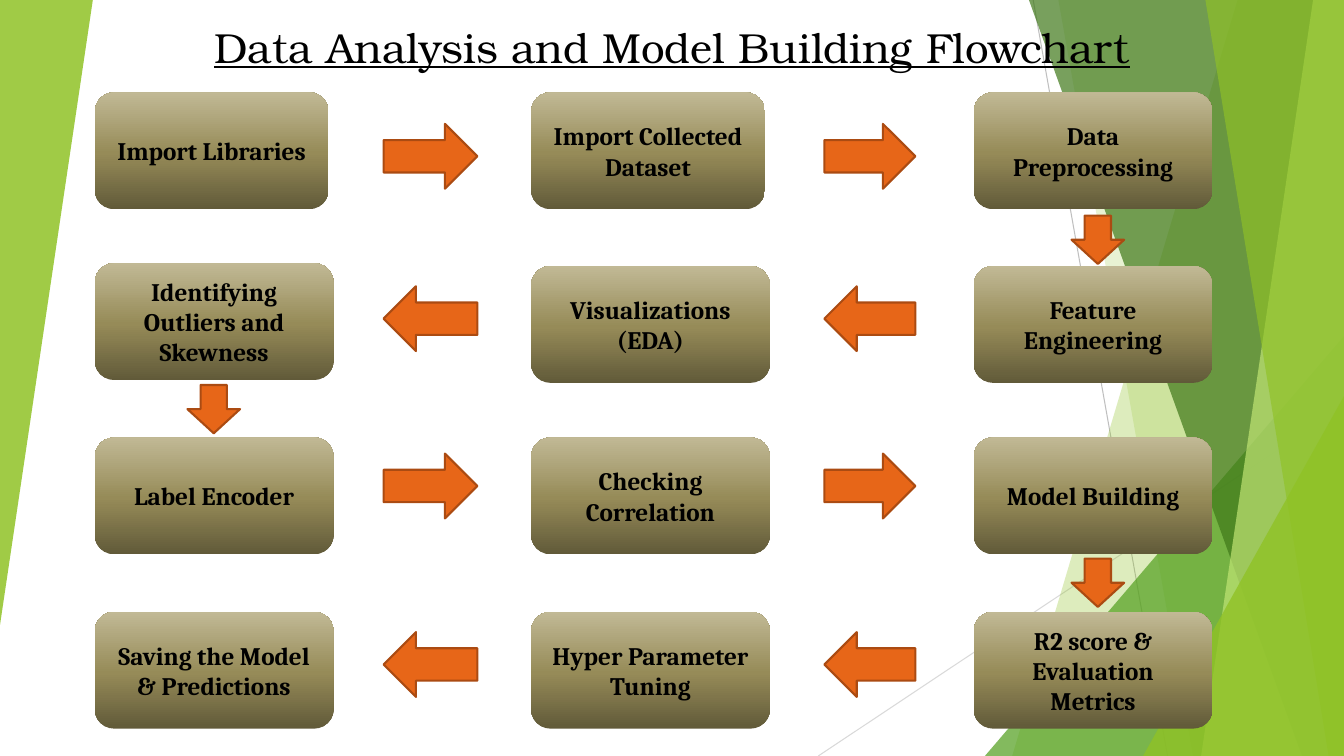
import copy

import pptx
import pptx.dml.color
import pptx.enum.shapes
import pptx.enum.text
import pptx.oxml.ns
import pptx.oxml.xmlchemy
import pptx.util

Pt = pptx.util.Pt
RGBColor = pptx.dml.color.RGBColor
Shape = pptx.enum.shapes.MSO_SHAPE
Align = pptx.enum.text.PP_ALIGN
qn = pptx.oxml.ns.qn
OxmlElement = pptx.oxml.xmlchemy.OxmlElement

BLACK = RGBColor(0x00, 0x00, 0x00)
ORANGE = RGBColor(0xE7, 0x66, 0x18)
RUST = RGBColor(0xAB, 0x4B, 0x12)
LIME = RGBColor(0x90, 0xC2, 0x26)
PALE_LIME = RGBColor(0xC0, 0xE4, 0x74)
GREEN = RGBColor(0x54, 0xA0, 0x21)
DARK_GREEN = RGBColor(0x3F, 0x78, 0x19)
GREY = RGBColor(0xBF, 0xBF, 0xBF)
LIGHT_GREY = RGBColor(0xD9, 0xD9, 0xD9)
KHAKI_STOPS = [(0, RGBColor(0x61, 0x5A, 0x39)),
               (0.48, RGBColor(0x96, 0x8B, 0x58)),
               (1, RGBColor(0xC1, 0xB9, 0x95))]

WIDTH, HEIGHT = 960, 540
TITLE = "Data Analysis and Model Building Flowchart"

# Each row: top of boxes, top of side arrows, arrow direction, steps left to right
ROWS = [
    (66, 88.5, Shape.RIGHT_ARROW,
     ["Import Libraries", "Import Collected Dataset", "Data Preprocessing"]),
    (190, 204.5, Shape.LEFT_ARROW,
     ["Identifying Outliers and Skewness", "Visualizations\n(EDA)", "Feature Engineering"]),
    (312.5, 324, Shape.RIGHT_ARROW,
     ["Label Encoder", "Checking Correlation", "Model Building"]),
    (437, 451.5, Shape.LEFT_ARROW,
     ["Saving the Model & Predictions", "Hyper Parameter Tuning", "R2 score & Evaluation Metrics"]),
]
COLUMNS = [67.7, 379.4, 695.5]
BOX_WIDTH, BOX_HEIGHT = 170.6, 83.5
NARROW_WIDTH = 167
NARROW_STEPS = {"Import Libraries", "Import Collected Dataset"}
RAISED_STEPS = {"Identifying Outliers and Skewness": 2}
SIDE_ARROWS = [(274, 67), (588.8, 65)]  # left, width
SIDE_ARROW_HEIGHT = 46.3
DOWN_ARROWS = [(765.4, 154), (133.9, 275), (765.4, 399)]  # left, top
DOWN_ARROW_SIZE = (37.6, 34.5)

RAYS = [((738, 0), (834, HEIGHT), GREY), ((WIDTH, 290), (584.5, HEIGHT), LIGHT_GREY)]
# Bands run to the right edge: top-left x, bottom-left x, colour, opacity
# Corners have the right angle at the right: left, top, width, height, turn
FACETS = [
    ("band", (884, 723), LIME, 30),
    ("band", (756, 852), LIME, 20),
    ("corner", (703.5, 240, 256.5, 300, 0), GREEN, 72),
    ("band", (735, 929.5), DARK_GREEN, 70),
    ("band", (938, 858), PALE_LIME, 70),
    ("band", (861, 949), LIME, 65),
    ("corner", (816.5, 283, 143.5, 257, 0), LIME, 80),
    ("corner", (0, 0, 66.3, 446.4, 180), LIME, 85),
]


def add_ray(page, start, end, colour):
    ray = page.shapes.add_connector(pptx.enum.shapes.MSO_CONNECTOR.STRAIGHT,
                                    *map(Pt, start + end))
    ray.line.color.rgb = colour
    ray.line.width = Pt(0.75)
    ray._element.spPr.append(OxmlElement("a:effectLst"))


def add_facet(page, kind, geometry, colour, opacity):
    """Add one translucent background piece."""
    if kind == "band":
        top_x, bottom_x = geometry
        builder = page.shapes.build_freeform(top_x, 0, scale=float(Pt(1)))
        builder.add_line_segments([(WIDTH, 0), (WIDTH, HEIGHT), (bottom_x, HEIGHT)])
        facet = builder.convert_to_shape()
    else:
        *frame, turn = geometry
        facet = page.shapes.add_shape(Shape.ISOSCELES_TRIANGLE, *map(Pt, frame))
        facet.adjustments[0] = 1
        facet.rotation = turn
    facet.shadow.inherit = False
    facet.fill.solid()
    facet.fill.fore_color.rgb = colour
    facet.line.fill.background()
    alpha = OxmlElement("a:alpha")
    alpha.set("val", str(opacity * 1000))
    facet._element.spPr.find(".//" + qn("a:srgbClr")).append(alpha)


def add_arrow(page, kind, *frame):
    arrow = page.shapes.add_shape(kind, *map(Pt, frame))
    arrow.shadow.inherit = False
    arrow.fill.solid()
    arrow.fill.fore_color.rgb = ORANGE
    arrow.line.color.rgb = RUST
    arrow.line.width = Pt(1.5)


def fill_khaki(box):
    box.fill.gradient()
    box.fill.gradient_angle = 90
    stop_list = box._element.spPr.find(".//" + qn("a:gsLst"))
    stop_list.append(copy.deepcopy(stop_list[0]))
    for stop, (position, colour) in zip(box.fill.gradient_stops, KHAKI_STOPS):
        stop.position = position
        stop.color.rgb = colour


def write(para, text, font_name, size):
    para.alignment = Align.CENTER
    span = para.add_run()
    span.text = text
    span.font.name = font_name
    span.font.size = Pt(size)
    span.font.color.rgb = BLACK
    return span


def add_step(page, text, left, top):
    width = NARROW_WIDTH if text in NARROW_STEPS else BOX_WIDTH
    top -= RAISED_STEPS.get(text, 0)
    box = page.shapes.add_shape(Shape.FLOWCHART_ALTERNATE_PROCESS,
                                *map(Pt, (left, top, width, BOX_HEIGHT)))
    box.shadow.inherit = False
    box.line.fill.background()
    fill_khaki(box)
    frame = box.text_frame
    frame.word_wrap = True
    frame.vertical_anchor = pptx.enum.text.MSO_ANCHOR.MIDDLE
    for index, line in enumerate(text.split("\n")):
        para = frame.add_paragraph() if index else frame.paragraphs[0]
        write(para, line, "Cambria", 18).font.bold = True


def place_title(page):
    title = page.shapes.title
    page.shapes._spTree.append(title._element)  # in front of the background
    title.left, title.top, title.width, title.height = map(Pt, (0, 11.5, WIDTH, 44))
    frame = title.text_frame
    frame.word_wrap = True
    frame.auto_size = pptx.enum.text.MSO_AUTO_SIZE.SHAPE_TO_FIT_TEXT
    frame.vertical_anchor = pptx.enum.text.MSO_ANCHOR.TOP
    write(frame.paragraphs[0], TITLE, "TeX Gyre Bonum", 30).font.underline = True


def main():
    deck = pptx.Presentation()
    deck.slide_width, deck.slide_height = Pt(WIDTH), Pt(HEIGHT)
    page = deck.slides.add_slide(deck.slide_layouts.get_by_name("Title Only"))
    for ray in RAYS:
        add_ray(page, *ray)
    for facet in FACETS:
        add_facet(page, *facet)
    place_title(page)
    for box_top, arrow_top, direction, steps in ROWS:
        for left, width in SIDE_ARROWS:
            add_arrow(page, direction, left, arrow_top, width, SIDE_ARROW_HEIGHT)
        for left, text in zip(COLUMNS, steps):
            add_step(page, text, left, box_top)
    for left, top in DOWN_ARROWS:
        add_arrow(page, Shape.DOWN_ARROW, left, top, *DOWN_ARROW_SIZE)
    deck.save("out.pptx")


if __name__ == "__main__":
    main()
